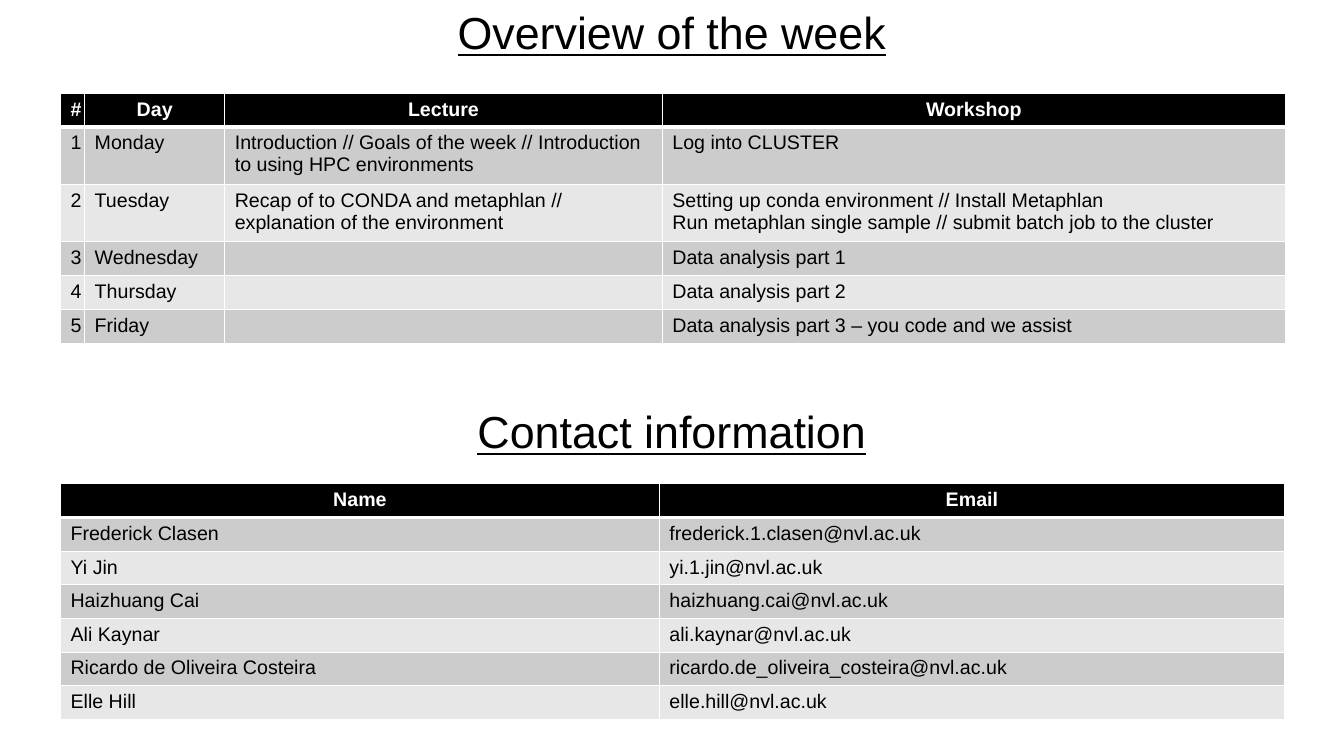
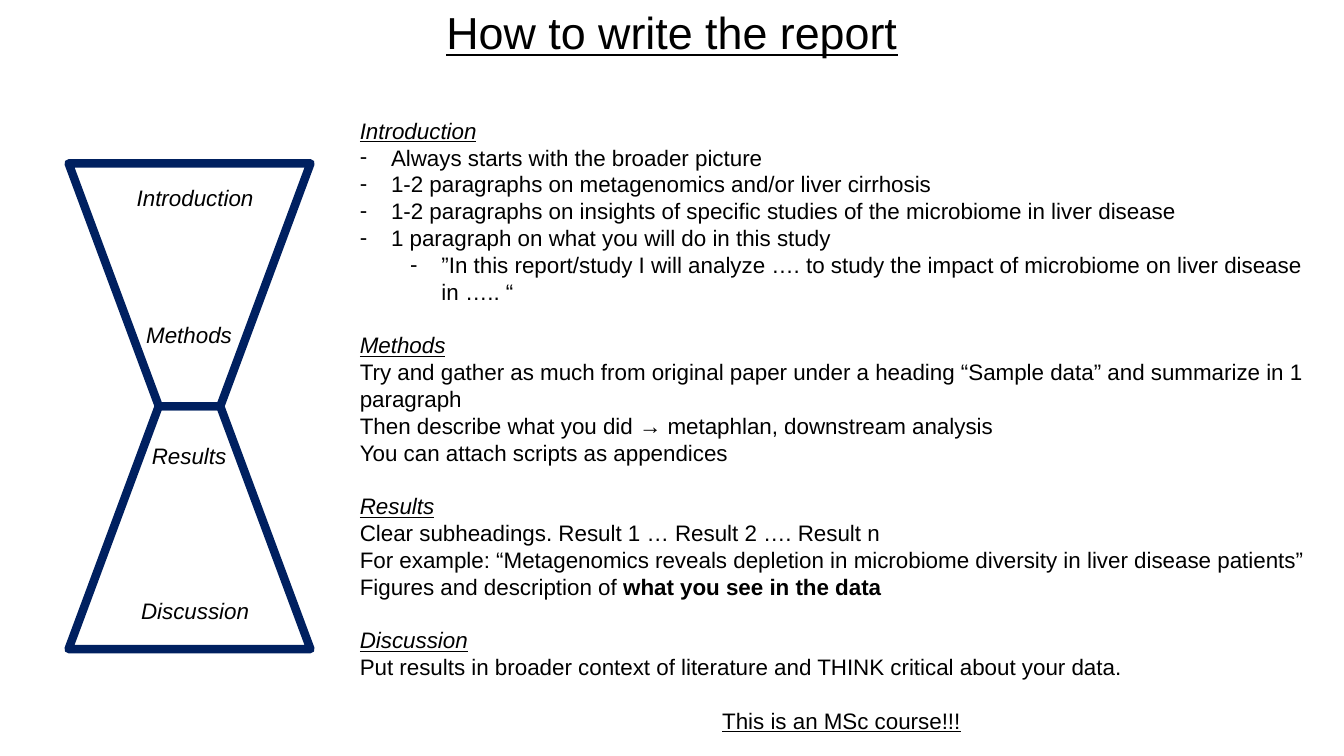
from pptx import Presentation
from pptx.dml.color import RGBColor
from pptx.enum.shapes import MSO_SHAPE
from pptx.enum.text import MSO_ANCHOR, PP_ALIGN
from pptx.oxml.ns import qn
from pptx.util import Inches, Pt
from lxml import etree

TRAP = MSO_SHAPE.TRAPEZOID
TOP = MSO_ANCHOR.TOP
LEFT, CENTER = PP_ALIGN.LEFT, PP_ALIGN.CENTER
FONT = "Arial"
BLACK, WHITE, NAVY = "000000", "FFFFFF", "002060"
BANDS = ("CCCCCC", "E7E7E7")
WIDE, TALL = 13.33, 7.5
HEAD = (0, 0, WIDE, 0.64)

WEEK = [
    ("#", "Day", "Lecture", "Workshop"),
    ("1", "Monday",
     "Introduction // Goals of the week // Introduction to using HPC environments",
     "Log into CLUSTER"),
    ("2", "Tuesday",
     "Recap of to CONDA and metaphlan // explanation of the environment",
     "Setting up conda environment // Install Metaphlan\n"
     "Run metaphlan single sample // submit batch job to the cluster"),
    ("3", "Wednesday", "", "Data analysis part 1"),
    ("4", "Thursday", "", "Data analysis part 2"),
    ("5", "Friday", "", "Data analysis part 3 – you code and we assist"),
]
MAIL = "@nvl.ac.uk"
STAFF = [
    ("Name", "Email"),
    ("Frederick Clasen", "frederick.1.clasen" + MAIL),
    ("Yi Jin", "yi.1.jin" + MAIL),
    ("Haizhuang Cai", "haizhuang.cai" + MAIL),
    ("Ali Kaynar", "ali.kaynar" + MAIL),
    ("Ricardo de Oliveira Costeira", "ricardo.de_oliveira_costeira" + MAIL),
    ("Elle Hill", "elle.hill" + MAIL),
]

# Kind of line and its text; a second text is set in bold
GUIDE = [
    ("head", "Introduction"),
    ("dash", "Always starts with the broader picture"),
    ("dash", "1-2 paragraphs on metagenomics and/or liver cirrhosis"),
    ("dash", "1-2 paragraphs on insights of specific studies of the microbiome in liver disease"),
    ("dash", "1 paragraph on what you will do in this study"),
    ("sub", "”In this report/study I will analyze …. to study the impact of "
            "microbiome on liver disease in ….. “"),
    ("head", "Methods"),
    ("body", "Try and gather as much from original paper under a heading "
             "“Sample data” and summarize in 1 paragraph"),
    ("body", "Then describe what you did → metaphlan, downstream analysis"),
    ("body", "You can attach scripts as appendices"),
    ("head", "Results"),
    ("body", "Clear subheadings. Result 1 … Result 2 …. Result n"),
    ("body", "For example: “Metagenomics reveals depletion in microbiome "
             "diversity in liver disease patients”"),
    ("body", "Figures and description of ", "what you see in the data"),
    ("head", "Discussion"),
    ("body", "Put results in broader context of literature and THINK critical about your data."),
    ("end", "This is an MSc course!!!"),
]
DENTS = {"dash": 0.31, "sub": 0.81}
LABELS = [("Introduction", 0.35, 1.78), ("Methods", 0.29, 3.14),
          ("Results", 0.29, 4.34), ("Discussion", 0.35, 5.88)]


def color(code):
    return RGBColor.from_string(code)


def inch(box):
    return [Inches(v) for v in box]


def style(para, size, code=BLACK, align=LEFT, bold=False, slant=False, line=False):
    para.alignment = align
    for run in para.runs:
        font = run.font
        font.name, font.size = FONT, Pt(size)
        font.bold, font.italic, font.underline = bold, slant, line
        font.color.rgb = color(code)


def text_box(slide, box):
    frame = slide.shapes.add_textbox(*inch(box)).text_frame
    frame.word_wrap = True
    return frame


def heading(frame, text):
    frame.text = text
    frame.word_wrap = True
    frame.vertical_anchor = TOP
    style(frame.paragraphs[0], 32, align=CENTER, line=True)


def new_slide(deck, text):
    slide = deck.slides.add_slide(deck.slide_layouts[5])
    title = slide.shapes.title
    title.left, title.top, title.width, title.height = inch(HEAD)
    heading(title.text_frame, text)
    return slide


def border(cell, side, width):
    props = cell._tc.get_or_add_tcPr()
    line = etree.SubElement(props, qn("a:" + side), w=str(Pt(width)))
    fill = etree.SubElement(line, qn("a:solidFill"))
    etree.SubElement(fill, qn("a:srgbClr"), val=WHITE)


def fill_cell(cell, text, row):
    top = row == 0
    # Borders come before the fill in the cell properties
    for side in ("lnL", "lnR", "lnT", "lnB"):
        thick = (top and side == "lnB") or (row == 1 and side == "lnT")
        border(cell, side, 3 if thick else 1)
    cell.fill.solid()
    cell.fill.fore_color.rgb = color(BLACK if top else BANDS[(row - 1) % 2])
    cell.text = text
    for para in cell.text_frame.paragraphs:
        style(para, 14, WHITE if top else BLACK, CENTER if top else LEFT, bold=top)
        if not text:
            etree.SubElement(para._p, qn("a:endParaRPr"), sz="1400")


def grid(slide, left, top, cols, rows, data):
    box = inch((left, top, sum(cols), sum(rows)))
    table = slide.shapes.add_table(len(rows), len(cols), *box).table
    for col, width in zip(table.columns, cols):
        col.width = Inches(width)
    for r, (height, texts) in enumerate(zip(rows, data)):
        table.rows[r].height = Inches(height)
        for c, text in enumerate(texts):
            fill_cell(table.cell(r, c), text, r)


def hourglass(slide, left, top, width, height):
    group = slide.shapes.add_group_shape()
    half = height / 2
    for i, turn in enumerate((180, 0)):
        part = group.shapes.add_shape(TRAP, *inch((left, top + i * half, width, half)))
        part.adjustments[0] = 0.373
        part.rotation = turn
        part.shadow.inherit = False
        part.fill.background()
        part.line.color.rgb = color(NAVY)
        part.line.width = Pt(6)
    for text, x, y in LABELS:
        frame = text_box(slide, (x, y, 3.17, 0.37))
        frame.text = text
        style(frame.paragraphs[0], 16, align=CENTER, slant=True)


def dash(para, dent):
    props = para._p.get_or_add_pPr()
    props.set("marL", str(Inches(dent)))
    props.set("indent", str(-Inches(0.31)))
    etree.SubElement(props, qn("a:buFont"), typeface=FONT)
    etree.SubElement(props, qn("a:buChar"), char="-")


def guide(slide, box):
    frame = text_box(slide, box)
    frame.text = "\n".join(item[1] for item in GUIDE)
    for i, (para, item) in enumerate(zip(frame.paragraphs, GUIDE)):
        kind = item[0]
        head, end = kind == "head", kind == "end"
        if len(item) > 2:
            para.add_run().text = item[2]
        style(para, 16, align=CENTER if end else LEFT, slant=head, line=head or end)
        if len(item) > 2:
            para.runs[-1].font.bold = True
        if i and (head or end):
            para.space_before = Pt(19)
        if kind == "sub":
            para.level = 1
        if kind in DENTS:
            dash(para, DENTS[kind])


def week_slide(deck):
    slide = new_slide(deck, "Overview of the week")
    grid(slide, 0.6, 0.93, (0.23, 1.39, 4.34, 6.18),
         [0.33] + [0.57] * 2 + [0.33] * 3, WEEK)
    heading(text_box(slide, (0, 3.96, WIDE, 0.64)), "Contact information")
    grid(slide, 0.6, 4.8, (5.94, 6.2), [0.33] * len(STAFF), STAFF)


def report_slide(deck):
    slide = new_slide(deck, "How to write the report")
    hourglass(slide, 0.68, 1.62, 2.4, 4.82)
    guide(slide, (3.47, 1.11, 9.75, 6.29))


def main():
    deck = Presentation()
    deck.slide_width, deck.slide_height = inch((WIDE, TALL))
    week_slide(deck)
    report_slide(deck)
    deck.save("out.pptx")


if __name__ == "__main__":
    main()
